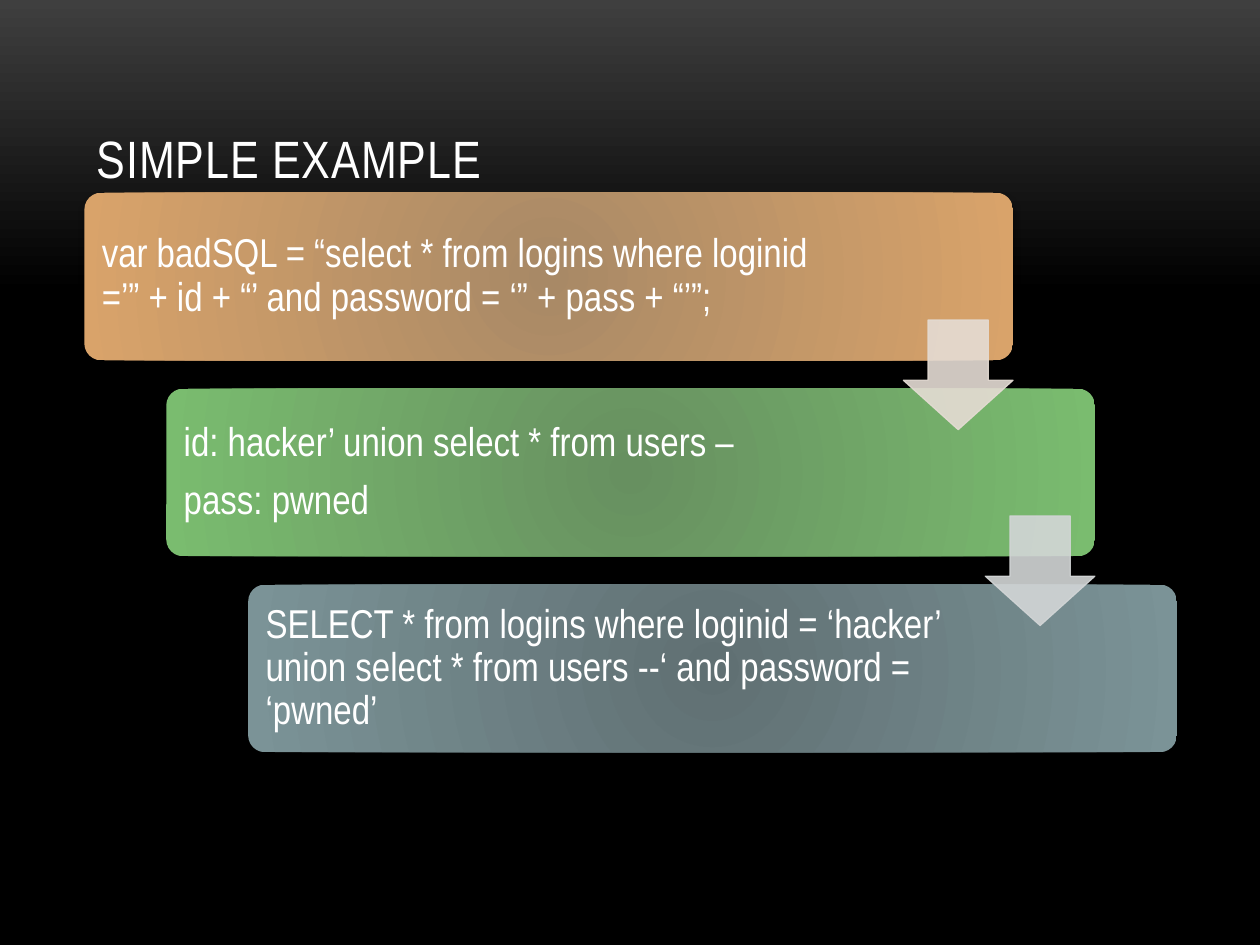
from dataclasses import dataclass

from lxml import etree
from pptx import Presentation
from pptx.dml.color import RGBColor
from pptx.enum.shapes import MSO_SHAPE
from pptx.enum.text import MSO_ANCHOR
from pptx.oxml.ns import qn
from pptx.util import Inches, Pt

ROUND = MSO_SHAPE.ROUNDED_RECTANGLE
DOWN = MSO_SHAPE.DOWN_ARROW
FONT = "Arial Narrow"
WHITE = "FFFFFF"

# Staircase of cards: first corner, card size and step to the next card
LEFT, TOP = 0.67, 1.53
WIDE, HIGH = 7.37, 1.33
STEP_X, STEP_Y = 0.65, 1.555
PAD = 0.04
ARROW = 0.87


@dataclass
class Card:
    inner: str
    outer: str
    width: float
    lines: list[str]


CARDS = [
    Card("A88966", "D9A36A", 5.93, [
        "var badSQL = “select * from logins where loginid "
        "=’” + id + “’ and password = ‘” + pass + “’”;"]),
    Card("679060", "7ABC6F", 5.77, [
        "id: hacker’ union select * from users –", "pass: pwned"]),
    Card("607073", "7B9397", 5.77, [
        "SELECT * from logins where loginid = ‘hacker’ "
        "union select * from users --‘ and password = ‘pwned’"]),
]
TINTS = ["E5DCD4", "D3D6D7"]


def rgb(code: str) -> RGBColor:
    return RGBColor.from_string(code)


def add(parent, tag: str, **attrs):
    return etree.SubElement(parent, qn(tag), attrs)


def blend(owner, stops: list[tuple[int, str]], radial: bool) -> None:
    """Swap the solid fill of owner for a gradient."""
    solid = owner.find(qn("a:solidFill"))
    grad = etree.Element(qn("a:gradFill"), rotWithShape="1")
    owner.replace(solid, grad)
    group = add(grad, "a:gsLst")
    for place, code in stops:
        stop = add(group, "a:gs", pos=str(place * 1000))
        add(stop, "a:srgbClr", val=code)
    if radial:
        path = add(grad, "a:path", path="circle")
        add(path, "a:fillToRect", **{side: "100000" for side in "ltrb"})
    else:
        add(grad, "a:lin", ang="5400000", scaled="0")


def shade(shape) -> None:
    """Give the shape a soft shadow below."""
    effect = shape._element.spPr.find(qn("a:effectLst"))
    drop = add(effect, "a:outerShdw", blurRad=str(Pt(4)), dist=str(Pt(3.4)),
               dir="5400000", rotWithShape="0")
    add(add(drop, "a:srgbClr", val="000000"), "a:alpha", val="40000")


def write(slide, x: float, y: float, w: float, h: float, lines: list[str],
          size: float, anchor):
    box = slide.shapes.add_textbox(Inches(x), Inches(y), Inches(w), Inches(h))
    frame = box.text_frame
    frame.word_wrap = True
    frame.vertical_anchor = anchor
    frame.text = "\n".join(lines)
    for para in frame.paragraphs:
        para.font.name = FONT
        para.font.size = Pt(size)
        para.font.color.rgb = rgb(WHITE)
    return frame


def draw_card(slide, card: Card, x: float, y: float) -> None:
    shape = slide.shapes.add_shape(
        ROUND, Inches(x), Inches(y), Inches(WIDE), Inches(HIGH))
    shape.adjustments[0] = 0.1
    shape.shadow.inherit = False
    shape.line.fill.background()
    shape.fill.solid()
    blend(shape._element.spPr, [(0, card.inner), (100, card.outer)], True)
    shade(shape)
    frame = write(slide, x + PAD, y + PAD, card.width, HIGH - 2 * PAD,
                  card.lines, 23, MSO_ANCHOR.MIDDLE)
    frame.margin_top = frame.margin_bottom = Inches(0.1)
    for para in frame.paragraphs:
        para.line_spacing = 0.9
        para.space_after = Pt(8)


def draw_arrow(slide, tint: str, x: float, y: float) -> None:
    shape = slide.shapes.add_shape(
        DOWN, Inches(x), Inches(y), Inches(ARROW), Inches(ARROW))
    shape.adjustments[0] = 0.55
    shape.adjustments[1] = 0.45
    shape.shadow.inherit = False
    shape.line.width = Pt(0.75)
    for fill in (shape.fill, shape.line.fill):
        fill.solid()
        fill.fore_color.rgb = rgb(tint)
    for color in shape._element.spPr.iter(qn("a:srgbClr")):
        add(color, "a:alpha", val="90000")


def main() -> None:
    deck = Presentation()
    deck.slide_width, deck.slide_height = Inches(10), Inches(7.5)
    slide = deck.slides.add_slide(deck.slide_layouts[6])

    # Background
    slide.background.fill.solid()
    blend(slide._element.find(".//" + qn("p:bgPr")),
          [(0, "3F3F3F"), (31, "000000"), (100, "000000")], False)

    # Title
    title = write(slide, 0.67, 0.3, 8.67, 1.25, ["SIMPLE EXAMPLE"], 30,
                  MSO_ANCHOR.BOTTOM)
    title.paragraphs[0].runs[0].font._element.set("spc", "50")

    # Cards, then the arrows that lead from one to the next
    for i, card in enumerate(CARDS):
        draw_card(slide, card, LEFT + i * STEP_X, TOP + i * STEP_Y)
    for i, tint in enumerate(TINTS):
        draw_arrow(slide, tint, LEFT + WIDE - ARROW + i * STEP_X,
                   2.54 + i * STEP_Y)

    deck.save("out.pptx")


if __name__ == "__main__":
    main()
